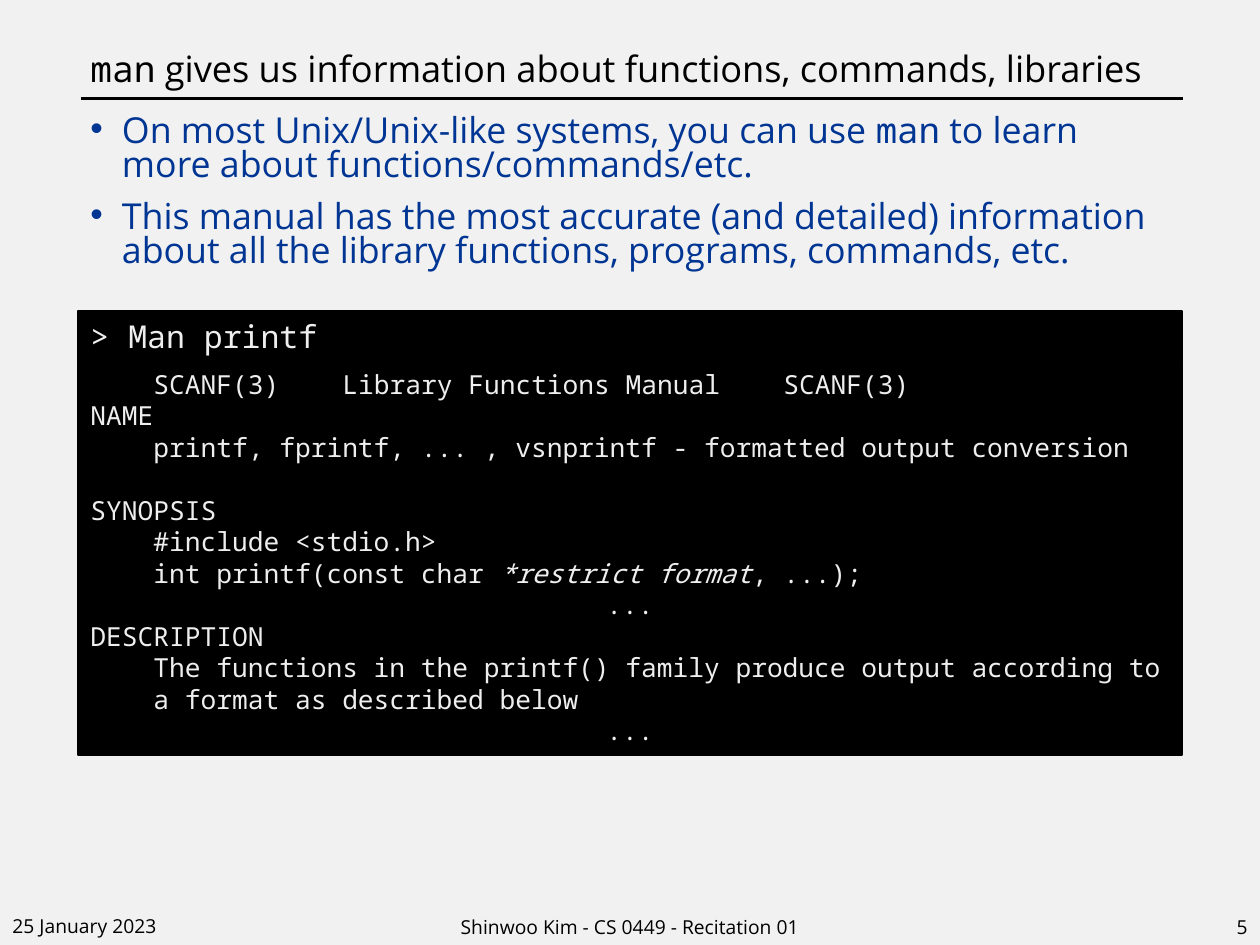
from lxml.etree import SubElement
from pptx import Presentation
from pptx.dml.color import RGBColor
from pptx.enum.shapes import MSO_CONNECTOR, MSO_SHAPE
from pptx.enum.text import MSO_ANCHOR, PP_ALIGN
from pptx.oxml.ns import qn
from pptx.util import Inches, Pt

BLACK = RGBColor(0x00, 0x00, 0x00)
BLUE = RGBColor(0x00, 0x35, 0x94)
PALE = RGBColor(0xEE, 0xEE, 0xEE)
BACKGROUND = RGBColor(0xF1, 0xF1, 0xF1)
SANS, MONO = "Open Sans", "Noto Sans Mono"
LEFT, WIDTH = 0.62, 8.76

# Runs are (text, font) pairs
TITLE = [("man", MONO),
         (" gives us information about functions, commands, libraries", SANS)]
BULLETS = [
    [("On most Unix/Unix-like systems, you can use ", SANS), ("man", MONO),
     (" to learn more about functions/commands/etc.", SANS)],
    [("This manual has the most accurate (and detailed) information about all "
      "the library functions, programs, commands, etc.", SANS)],
]
COMMAND = "> Man printf"
MANUAL_HEADER = "\tSCANF(3)\tLibrary Functions Manual\tSCANF(3)"
HEADER_TABS = [(0.22, "l"), (4.33, "ctr"), (8.33, "r")]
# Manual lines are (style, runs); a run is (text, italic)
MANUAL = [
    ("heading", [("NAME", False)]),
    ("indented", [("printf, fprintf, ... , vsnprintf - formatted output conversion", False)]),
    ("spaced heading", [("SYNOPSIS", False)]),
    ("indented", [("#include <stdio.h>", False)]),
    ("indented", [("int printf(const char ", False), ("*restrict format", True),
                  (", ...);", False)]),
    ("centred", [("...", False)]),
    ("heading", [("DESCRIPTION", False)]),
    ("indented", [("The functions in the printf() family produce output according to "
                   "a format as described below", False)]),
    ("centred", [("...", False)]),
]
FOOTERS = [  # text, left, top, width, alignment
    ("25 January 2023", 0, 7.09, 2.25, PP_ALIGN.LEFT),
    ("Shinwoo Kim - CS 0449 - Recitation 01", 3.31, 7.1, 3.38, PP_ALIGN.CENTER),
    ("5", 7.75, 7.1, 2.25, PP_ALIGN.RIGHT),
]


def add_run(para, text, font, size, color, italic=False):
    run = para.add_run()
    run.text = text
    run.font.name, run.font.size, run.font.italic = font, Pt(size), italic
    run.font.color.rgb = color


def add_text_box(page, left, top, width, height, anchor=MSO_ANCHOR.TOP):
    frame = page.shapes.add_textbox(*map(Inches, (left, top, width, height))).text_frame
    frame.word_wrap = True
    frame.vertical_anchor = anchor
    return frame


def add_terminal(page, top, height, anchor):
    box = page.shapes.add_shape(MSO_SHAPE.RECTANGLE,
                                *map(Inches, (LEFT, top, WIDTH, height)))
    box.shadow.inherit = False
    box.fill.solid()
    box.fill.fore_color.rgb = BLACK
    box.line.color.rgb = BLACK
    box.line.width = Pt(1)
    box.text_frame.word_wrap = True
    box.text_frame.vertical_anchor = anchor
    box.text_frame.paragraphs[0].alignment = PP_ALIGN.LEFT
    return box.text_frame


def set_indent(para, left, first=0):
    properties = para._p.get_or_add_pPr()
    properties.set("marL", str(Inches(left)))
    properties.set("indent", str(Inches(first)))
    return properties


deck = Presentation()
deck.slide_width, deck.slide_height = Inches(10), Inches(7.5)
page = deck.slides.add_slide(deck.slide_layouts[6])
page.background.fill.solid()
page.background.fill.fore_color.rgb = BACKGROUND

rule = page.shapes.add_connector(MSO_CONNECTOR.STRAIGHT,
                                 *map(Inches, (0.64, 0.78, 9.39, 0.78)))
rule.line.color.rgb = BLACK
rule.line.width = Pt(1.5)
SubElement(rule._element.spPr, qn("a:effectLst"))

para = add_text_box(page, LEFT, 0.03, WIDTH, 0.74, MSO_ANCHOR.BOTTOM).paragraphs[0]
para.line_spacing = 0.9
for text, font in TITLE:
    add_run(para, text, font, 20.7, BLACK)

frame = add_text_box(page, LEFT, 0.87, WIDTH, 1.47)
for index, runs in enumerate(BULLETS):
    para = frame.add_paragraph() if index else frame.paragraphs[0]
    para.line_spacing = 0.8
    para.space_before = Pt(10)
    properties = set_indent(para, 0.25, -0.25)
    SubElement(properties, qn("a:buFont"), typeface="Arial")
    SubElement(properties, qn("a:buChar"), char="•")
    for text, font in runs:
        add_run(para, text, font, 20.4, BLUE)

for text, left, top, width, alignment in FOOTERS:
    para = add_text_box(page, left, top, width, 0.4, MSO_ANCHOR.BOTTOM).paragraphs[0]
    para.alignment = alignment
    add_run(para, text, SANS, 11, BLACK)

command = add_terminal(page, 2.47, 0.4, MSO_ANCHOR.MIDDLE)
add_run(command.paragraphs[0], COMMAND, MONO, 18, PALE)

manual = add_terminal(page, 2.87, 3.12, MSO_ANCHOR.TOP)
header = manual.paragraphs[0]
tabs = SubElement(set_indent(header, 0), qn("a:tabLst"))
for position, alignment in HEADER_TABS:
    SubElement(tabs, qn("a:tab"), pos=str(Inches(position)), algn=alignment)
add_run(header, MANUAL_HEADER, MONO, 15, PALE)
for style, runs in MANUAL:
    para = manual.add_paragraph()
    para.alignment = PP_ALIGN.CENTER if style == "centred" else PP_ALIGN.LEFT
    if style == "indented":
        set_indent(para, 0.5)
    if style == "spaced heading":
        para.space_before = Pt(18)
    for text, italic in runs:
        add_run(para, text, MONO, 15, PALE, italic)

deck.save("out.pptx")
